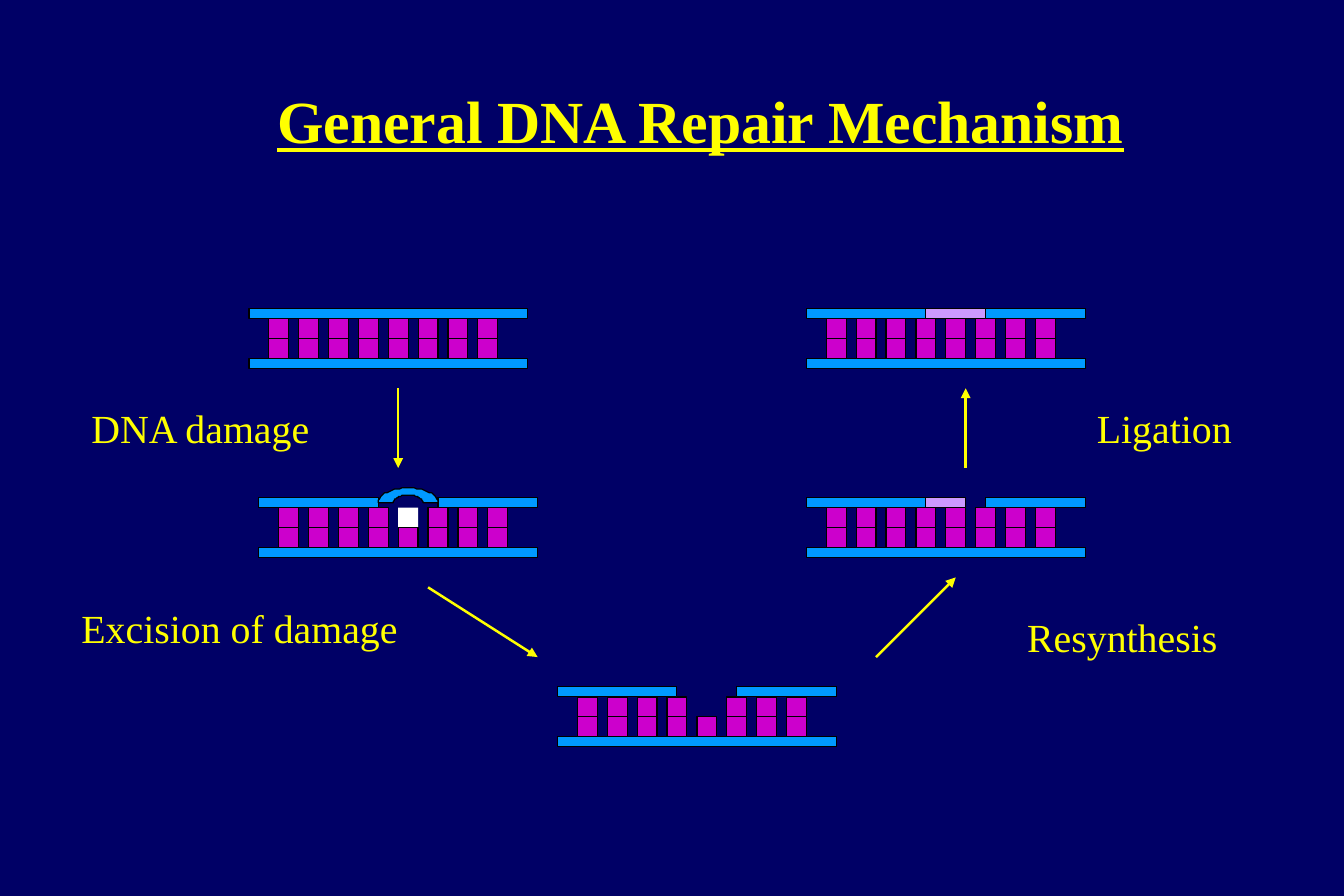
import math

from lxml import etree
from pptx import Presentation
from pptx.dml import color
from pptx.enum import shapes, text
from pptx.oxml import ns
from pptx.util import Emu, Pt

EMU_PER_PX = 9525
FONT = "Times New Roman"
YELLOW, BLUE, MAGENTA = "FFFF00", "0099FF", "CC00CC"
LILAC, WHITE, BLACK, NAVY = "CC99FF", "FFFFFF", "000000", "000066"

STRAND_WIDTH, STRAND_HEIGHT = 224, 8
BASE_SIZE, BASE_PITCH, BASE_COUNT, DAMAGED_BASE = 16, 24, 8, 4
WHOLE_STRAND = [(0, STRAND_WIDTH, BLUE)]
BROKEN_STRAND = [(0, 96, BLUE), (144, 80, BLUE)]


def px(length):
    return Emu(round(length * EMU_PER_PX))


def rgb(hex_string):
    return color.RGBColor.from_string(hex_string)


def paint(shape, fill, outlined=True):
    shape.shadow.inherit = False
    shape.fill.solid()
    shape.fill.fore_color.rgb = rgb(fill)
    if outlined:
        shape.line.color.rgb = rgb(BLACK)
        shape.line.width = Pt(0.75)
    else:
        shape.line.fill.background()


def add_block(slide, left, top, width, height, fill, outlined=True):
    shape = slide.shapes.add_shape(
        shapes.MSO_SHAPE.RECTANGLE, px(left), px(top), px(width), px(height))
    paint(shape, fill, outlined)


def add_duplex(slide, left, top, upper_strand, damaged_fill=MAGENTA):
    """Draw two strands with paired bases; damaged_fill None leaves a gap."""
    upper_bases = top + STRAND_HEIGHT
    lower_bases = upper_bases + BASE_SIZE
    lower_strand = lower_bases + BASE_SIZE
    add_block(slide, left, lower_strand, STRAND_WIDTH, STRAND_HEIGHT, BLUE)
    for index in range(BASE_COUNT):
        base_left = left + BASE_SIZE + index * BASE_PITCH
        fill = damaged_fill if index == DAMAGED_BASE else MAGENTA
        if fill:
            add_block(slide, base_left, upper_bases, BASE_SIZE, BASE_SIZE,
                      fill, outlined=fill != WHITE)
        add_block(slide, base_left, lower_bases, BASE_SIZE, BASE_SIZE, MAGENTA)
    for offset, width, fill in upper_strand:
        add_block(slide, left + offset, top, width, STRAND_HEIGHT, fill)


def add_bulge(slide, left, top, width, height):
    """Draw the half ring where the damaged strand bows outwards."""
    def half_ellipse(scale, steps=32):
        return [(left + width / 2 * (1 - scale * math.cos(math.pi * i / steps)),
                 top + height * (1 - scale * math.sin(math.pi * i / steps)))
                for i in range(steps + 1)]

    outline = half_ellipse(1) + half_ellipse(0.5)[::-1]
    builder = slide.shapes.build_freeform(*outline[0], scale=EMU_PER_PX)
    builder.add_line_segments(outline[1:], close=True)
    paint(builder.convert_to_shape(), BLUE)


def add_arrow(slide, start, end):
    arrow = slide.shapes.add_connector(
        shapes.MSO_CONNECTOR.STRAIGHT, *map(px, start + end))
    arrow.line.color.rgb = rgb(YELLOW)
    arrow.line.width = Pt(1.5)
    properties = arrow._element.spPr
    line = properties.find(ns.qn("a:ln"))
    etree.SubElement(line, ns.qn("a:tailEnd"), type="triangle")
    etree.SubElement(properties, ns.qn("a:effectLst"))


def set_font(paragraph, size):
    paragraph.font.name = FONT
    paragraph.font.size = Pt(size)
    paragraph.font.color.rgb = rgb(YELLOW)


def add_label(slide, left, top, width, height, wording):
    box = slide.shapes.add_textbox(px(left), px(top), px(width), px(height))
    box.text_frame.word_wrap = True
    paragraph = box.text_frame.paragraphs[0]
    paragraph.text = wording
    set_font(paragraph, 24)


def set_title(slide, left, top, width, height, wording):
    title = slide.shapes.title
    title.left, title.top, title.width, title.height = map(
        px, (left, top, width, height))
    frame = title.text_frame
    frame.auto_size = text.MSO_AUTO_SIZE.NONE
    frame.vertical_anchor = text.MSO_ANCHOR.MIDDLE
    paragraph = frame.paragraphs[0]
    paragraph.text = wording
    paragraph.alignment = text.PP_ALIGN.CENTER
    set_font(paragraph, 36)
    paragraph.font.bold = True
    paragraph.font.underline = True


def build_repair_slide(presentation):
    slide = presentation.slides.add_slide(presentation.slide_layouts[5])
    slide.background.fill.solid()
    slide.background.fill.fore_color.rgb = rgb(NAVY)
    set_title(slide, 104, 72, 918, 48, "General DNA Repair Mechanism")

    add_duplex(slide, 200, 248, WHOLE_STRAND)
    add_duplex(slide, 208, 400, BROKEN_STRAND, WHITE)
    add_bulge(slide, 304, 392, 48, 12)
    add_duplex(slide, 448, 552, BROKEN_STRAND, None)
    add_duplex(slide, 648, 400, BROKEN_STRAND + [(96, 32, LILAC)])
    add_duplex(slide, 648, 248, BROKEN_STRAND + [(96, 48, LILAC)])

    for start, end in [((320, 312), (320, 376)), ((344, 472), (432, 528)),
                       ((704, 528), (768, 464)), ((776, 376), (776, 312))]:
        add_arrow(slide, start, end)

    for left, top, width, wording in [(64, 320, 216, "DNA damage"),
                                      (56, 480, 296, "Excision of damage"),
                                      (816, 488, 192, "Resynthesis"),
                                      (872, 320, 152, "Ligation")]:
        add_label(slide, left, top, width, 48, wording)


def main():
    presentation = Presentation()
    presentation.slide_width, presentation.slide_height = px(1080), px(720)
    build_repair_slide(presentation)
    presentation.save("out.pptx")


if __name__ == "__main__":
    main()
